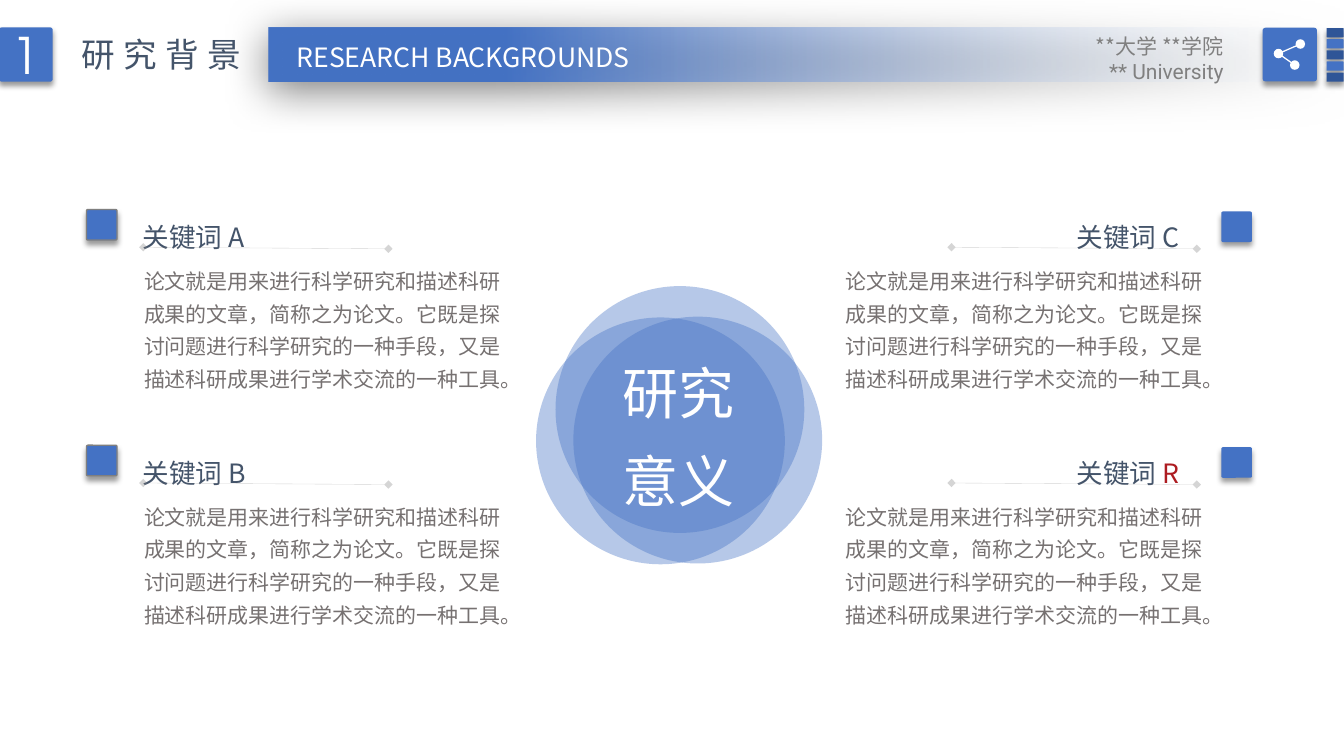
"""Build the research background slide with four keyword notes around a centre motif."""
from lxml import etree
from pptx import Presentation
from pptx.dml.color import RGBColor
from pptx.enum.shapes import MSO_CONNECTOR, MSO_SHAPE
from pptx.enum.text import MSO_ANCHOR, MSO_AUTO_SIZE, PP_ALIGN
from pptx.oxml.ns import qn
from pptx.util import Cm, Pt

OVAL, RECTANGLE, ROUNDED = MSO_SHAPE.OVAL, MSO_SHAPE.RECTANGLE, MSO_SHAPE.ROUNDED_RECTANGLE
LEFT, CENTER, RIGHT = PP_ALIGN.LEFT, PP_ALIGN.CENTER, PP_ALIGN.RIGHT
STRAIGHT = MSO_CONNECTOR.STRAIGHT
SANS, BLUE, NAVY, SLATE, WHITE = "Noto Sans CJK SC", "4472C4", "2F5597", "44546A", "FFFFFF"
SOFT_SHADOW = (40, 4, 3, 90)
color = RGBColor.from_string

deck = Presentation()
deck.slide_width, deck.slide_height = Cm(33.87), Cm(19.05)
page = deck.slides.add_slide(deck.slide_layouts[6])


def add_figure(kind, left, top, width, height, fill, shadow=None):
    """Add a filled shape without outline; shadow is (opacity, blur, distance, angle)."""
    figure = page.shapes.add_shape(kind, Cm(left), Cm(top), Cm(width), Cm(height))
    figure.fill.solid()
    figure.fill.fore_color.rgb = color(fill)
    figure.line.fill.background()
    figure.shadow.inherit = False
    if kind == ROUNDED:
        figure.adjustments[0] = 0.05
    if shadow:
        opacity, blur, distance, angle = shadow
        effects = figure._element.spPr.find(qn("a:effectLst"))
        outer = etree.SubElement(effects, qn("a:outerShdw"), blurRad=str(Pt(blur)),
                                 dist=str(Pt(distance)), dir=str(angle * 60000),
                                 algn="ctr", rotWithShape="0")
        shade = etree.SubElement(outer, qn("a:srgbClr"), val="000000")
        etree.SubElement(shade, qn("a:alpha"), val=str(opacity * 1000))
    return figure


def write(box, lines, size, align=LEFT, spacing=None, wrap=True):
    """Fill a box with lines, each a list of (text, colour, font) runs."""
    frame = box.text_frame
    frame.word_wrap = wrap
    for index, runs in enumerate(lines):
        para = frame.paragraphs[0] if index == 0 else frame.add_paragraph()
        para.alignment = align
        if spacing:
            para.line_spacing = spacing
        for text, ink, font in runs:
            span = para.add_run()
            span.text = text
            span.font.size = Pt(size)
            span.font.color.rgb = color(ink)
            span.font.name = font
            etree.SubElement(span.font._element, qn("a:ea"), typeface=font)
    return frame


for left, top in [(13.51, 8), (14, 7.21), (14.45, 7.98)]:
    circle = add_figure(OVAL, left, top, 6.27, 6.22, BLUE)
    tint = circle._element.spPr.find(qn("a:solidFill"))[0]
    etree.SubElement(tint, qn("a:alpha"), val="39000")

motif = page.shapes.add_textbox(Cm(14.99), Cm(8.41), Cm(4.24), Cm(4.7))
write(motif, [[("研究", WHITE, SANS)], [("意义", WHITE, SANS)]], 40, CENTER, 1.3)

DETAIL = ("论文就是用来进行科学研究和描述科研成果的文章，简称之为论文。"
          "它既是探讨问题进行科学研究的一种手段，又是描述科研成果进行学术交流的一种工具。")
ROW_STEP = 5.94
COLUMNS = [
    (2.18, 5.28, 3.35, 3.61, 3.38, True, [("A", SLATE), ("B", SLATE)]),
    (30.78, 5.33, 26.89, 23.98, 21.06, False, [("C", SLATE), ("R", "AD1C21")]),
]
for marker_left, marker_top, title_left, rule_left, detail_left, outlined, letters in COLUMNS:
    for row, (letter, letter_color) in enumerate(letters):
        drop = row * ROW_STEP
        marker = add_figure(ROUNDED, marker_left, marker_top + drop, 0.77, 0.77, BLUE, SOFT_SHADOW)
        if outlined:
            marker.line.color.rgb = color("7F7F7F")
            marker.line.width = Pt(1)

        title = page.shapes.add_textbox(Cm(title_left), Cm(5.21 + drop), Cm(3.4), Cm(1.32))
        write(title, [[("关键词 ", SLATE, SANS), (letter, letter_color, SANS)]], 19,
              spacing=1.3, wrap=False)

        rule = page.shapes.add_connector(STRAIGHT, Cm(rule_left), Cm(6.23 + drop),
                                         Cm(rule_left + 6.18), Cm(6.27 + drop))
        rule.line.color.rgb = color("808080")
        rule.line.width = Pt(0.25)
        stroke = rule.line._get_or_add_ln()
        etree.SubElement(stroke.find(qn("a:solidFill"))[0], qn("a:alpha"), val="33000")
        for end in ("a:headEnd", "a:tailEnd"):
            etree.SubElement(stroke, qn(end), type="diamond")

        detail = page.shapes.add_textbox(Cm(detail_left), Cm(6.45 + drop), Cm(9.8), Cm(3.58))
        write(detail, [[(DETAIL, "767171", SANS)]], 15, spacing=1.3)

banner = add_figure(RECTANGLE, 6.77, 0.7, 27.1, 1.36, BLUE, (50, 31, 6, 97))
banner.fill.gradient()
banner.fill.gradient_angle = 180
for stop, place, shade in zip(banner.fill.gradient_stops, (0, 0.78), ("F7FAFD", BLUE)):
    stop.position = place
    stop.color.rgb = color(shade)
clear_stop = banner._element.spPr.find(".//" + qn("a:gs"))
etree.SubElement(clear_stop[0], qn("a:alpha"), val="0")

number = add_figure(ROUNDED, -0.02, 0.69, 1.35, 1.37, BLUE, SOFT_SHADOW)
write(number, [[("1", WHITE, "TeX Gyre Adventor")]], 36, CENTER)
number.text_frame.vertical_anchor = MSO_ANCHOR.MIDDLE

heading = page.shapes.add_textbox(Cm(1.8), Cm(0.74), Cm(4.78), Cm(1.27))
heading_text = write(heading, [[("研究背景", SLATE, SANS)]], 24, wrap=False)
heading_text.paragraphs[0].runs[0].font._element.set("spc", "600")

subtitle = page.shapes.add_textbox(Cm(6.99), Cm(0.91), Cm(9.37), Cm(1.07))
write(subtitle, [[("RESEARCH BACKGROUNDS", WHITE, SANS)]], 19, CENTER, wrap=False)

for index in range(5):
    add_figure(ROUNDED, 33.43, 0.71 + index * 0.28, 0.43, 0.23,
               BLUE if index % 2 else NAVY, SOFT_SHADOW)

add_figure(ROUNDED, 31.82, 0.7, 1.37, 1.35, BLUE, SOFT_SHADOW)
NODES = [(32.77, 1.11), (32.22, 1.35), (32.63, 1.64)]
for x, y in NODES:
    add_figure(OVAL, x - 0.12, y - 0.12, 0.24, 0.24, WHITE)
hub_x, hub_y = NODES[1]
for x, y in (NODES[0], NODES[2]):
    link = page.shapes.add_connector(STRAIGHT, Cm(hub_x), Cm(hub_y), Cm(x), Cm(y))
    link.line.color.rgb = color(WHITE)
    link.line.width = Pt(0.9)

school = page.shapes.add_textbox(Cm(25.78), Cm(0.71), Cm(6.02), Cm(1.6))
school_text = write(school, [[("**大学 **学院", "808080", SANS)],
                             [("** University", "808080", "Roboto")]], 15, RIGHT)
school_text.paragraphs[0]._p.get_or_add_pPr().set("marR", str(Cm(0.71)))

for item in page.shapes:
    if item.shape_type is not None and item.has_text_frame and item is not number:
        item.text_frame.auto_size = MSO_AUTO_SIZE.NONE
    elif not item.has_text_frame:
        etree.SubElement(item._element.spPr, qn("a:effectLst"))

deck.save("out.pptx")
